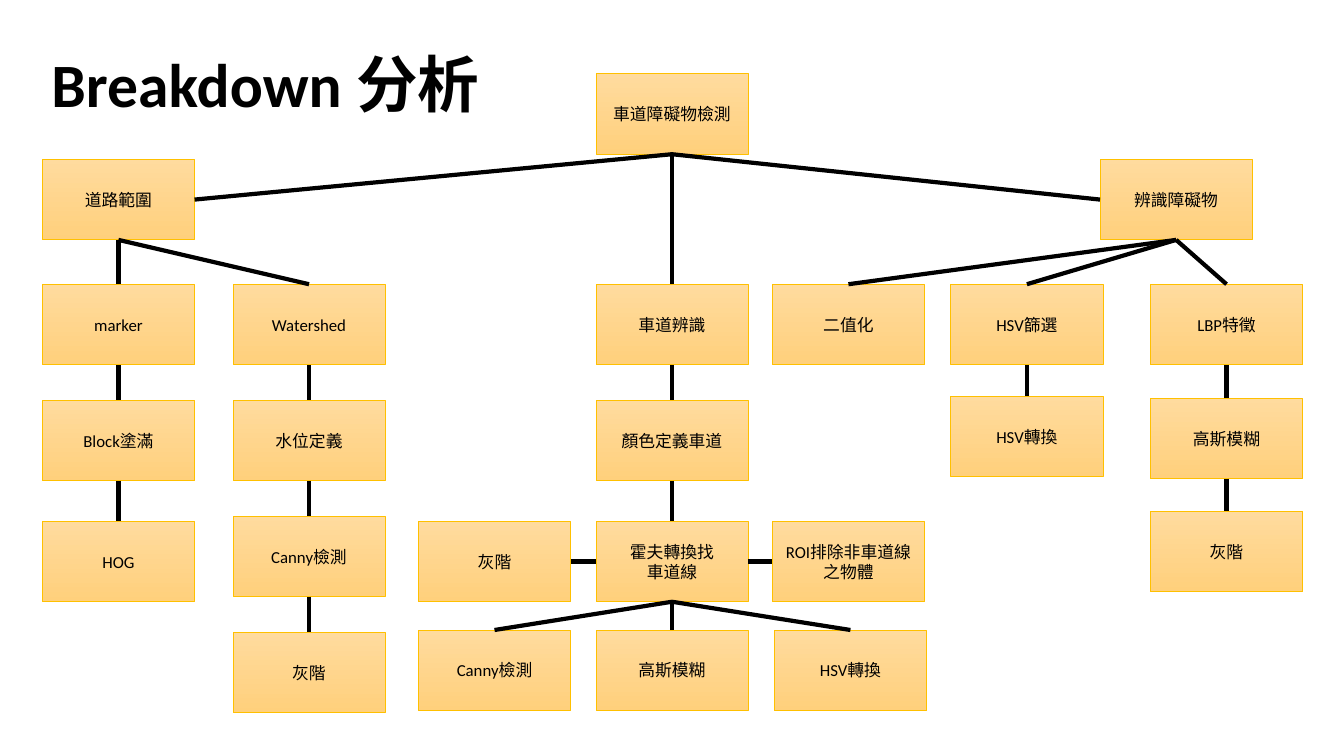
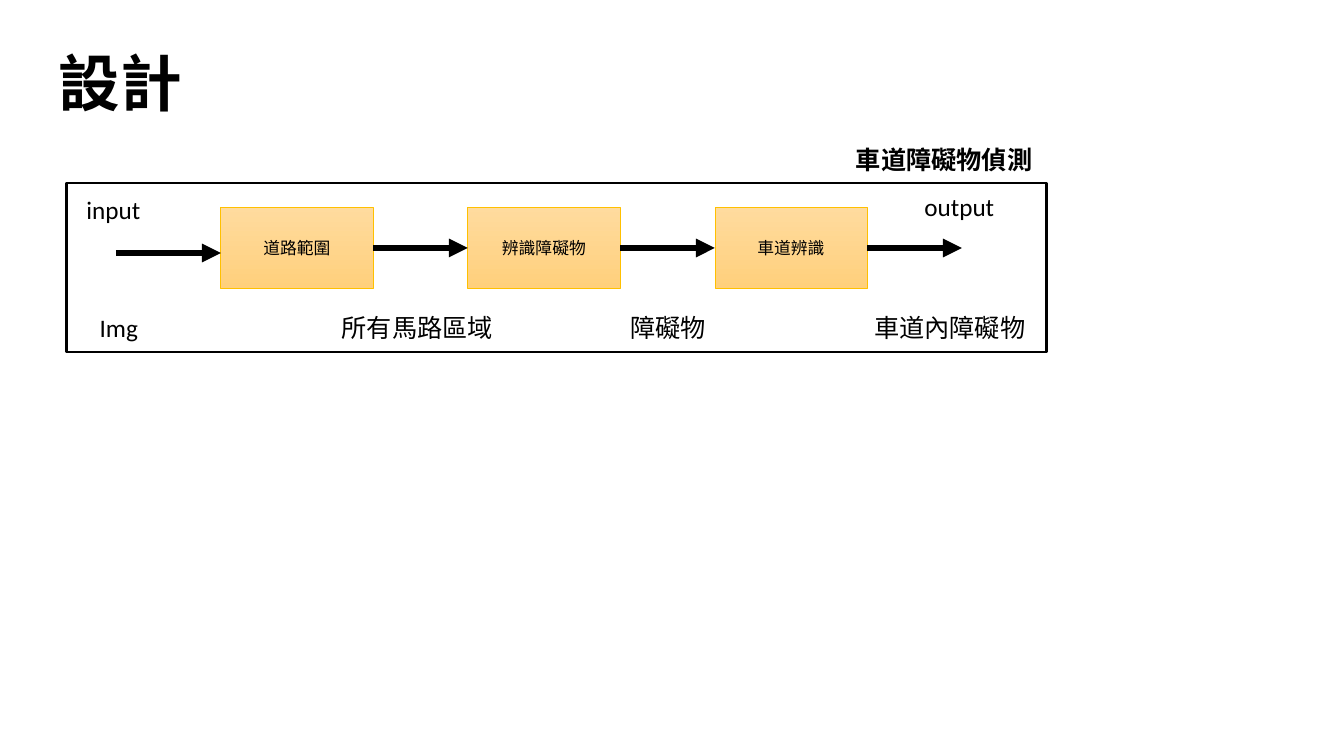
import pptx
import pptx.util
import pptx.dml.color
import pptx.enum.shapes
import pptx.enum.text
import pptx.oxml.ns
import lxml.etree

Inches = pptx.util.Inches
Pt = pptx.util.Pt
RGBColor = pptx.dml.color.RGBColor
Align = pptx.enum.text.PP_ALIGN
Anchor = pptx.enum.text.MSO_ANCHOR
RECT = pptx.enum.shapes.MSO_SHAPE.RECTANGLE
LINE = pptx.enum.shapes.MSO_CONNECTOR.STRAIGHT

BLACK = RGBColor(0x00, 0x00, 0x00)
GOLD = RGBColor(0xFF, 0xC0, 0x00)
LIGHT = RGBColor(0xFF, 0xDB, 0x9E)
DEEP = RGBColor(0xFF, 0xD0, 0x7C)
FONT = "Calibri"
BOX_W, BOX_H = 1.51, 0.8
TOP, LEFT, BOTTOM, RIGHT = range(4)

NODES = {
    "root": (5.91, 0.73, "車道障礙物檢測"),
    "road": (0.42, 1.58, "道路範圍"),
    "object": (10.91, 1.58, "辨識障礙物"),
    "marker": (0.42, 2.82, "marker"),
    "block": (0.42, 3.97, "Block塗滿"),
    "hog": (0.42, 5.17, "HOG"),
    "shed": (2.31, 2.82, "Watershed"),
    "level": (2.31, 3.97, "水位定義"),
    "shed canny": (2.31, 5.12, "Canny檢測"),
    "shed gray": (2.31, 6.27, "灰階"),
    "lane": (5.91, 2.82, "車道辨識"),
    "color": (5.91, 3.97, "顏色定義車道"),
    "hough": (5.91, 5.17, "霍夫轉換找\n車道線"),
    "gray": (4.15, 5.17, "灰階"),
    "roi": (7.66, 5.17, "ROI排除非車道線之物體"),
    "canny": (4.15, 6.25, "Canny檢測"),
    "blur": (5.91, 6.25, "高斯模糊"),
    "hsv": (7.68, 6.25, "HSV轉換"),
    "binary": (7.66, 2.82, "二值化"),
    "filter": (9.43, 2.82, "HSV篩選"),
    "filter hsv": (9.43, 3.93, "HSV轉換"),
    "lbp": (11.41, 2.82, "LBP特徵"),
    "lbp blur": (11.41, 3.95, "高斯模糊"),
    "lbp gray": (11.41, 5.07, "灰階"),
}
CHAINS = [
    ("road", "marker", "block", "hog"),
    ("road", "shed", "level", "shed canny", "shed gray"),
    ("root", "lane", "color", "hough", "blur"),
    ("hough", "canny"),
    ("hough", "hsv"),
    ("object", "binary"),
    ("object", "filter", "filter hsv"),
    ("object", "lbp", "lbp blur", "lbp gray"),
]
SIDES = [
    ("root", BOTTOM, "road", RIGHT),
    ("root", BOTTOM, "object", LEFT),
    ("hough", LEFT, "gray", RIGHT),
    ("hough", RIGHT, "roi", LEFT),
]

STEPS = ["道路範圍", "辨識障礙物", "車道辨識"]
STEP_X, STEP_Y, STEP_GAP = 2.19, 2.06, 0.94
LABELS = [
    (3.29, 3.05, 1.95, "所有馬路區域", False),
    (8.57, 3.05, 1.95, "車道內障礙物", False),
    (6.15, 3.05, 1.79, "障礙物", False),
    (0.89, 3.05, 1.95, "Img", False),
    (0.76, 1.88, 0.77, "input", False),
    (9.07, 1.85, 1.16, "output", False),
    (8.39, 1.38, 2.82, "車道障礙物偵測", True),
]


def write(frame, text, size, bold=False, align=Align.LEFT):
    for i, line in enumerate(text.split("\n")):
        para = frame.paragraphs[0] if i == 0 else frame.add_paragraph()
        para.alignment = align
        run = para.add_run()
        run.text = line
        run.font.name = FONT
        run.font.size = Pt(size)
        run.font.bold = bold
        run.font.color.rgb = BLACK


def add_page(deck, text, x, y):
    page = deck.slides.add_slide(deck.slide_layouts[5])
    title = page.shapes.title
    title.left, title.top = Inches(x), Inches(y)
    title.width, title.height = Inches(11.5), Inches(1.45)
    title.text_frame.vertical_anchor = Anchor.MIDDLE
    write(title.text_frame, text, 44, bold=True)
    title.text_frame.paragraphs[0].line_spacing = 0.9
    return page


def add_box(page, x, y, text):
    box = page.shapes.add_shape(
        RECT, Inches(x), Inches(y), Inches(BOX_W), Inches(BOX_H))
    box.shadow.inherit = False
    box.fill.gradient()
    box.fill.gradient_angle = 270
    for stop, color, place in zip(box.fill.gradient_stops, (LIGHT, DEEP), (0, 1)):
        stop.color.rgb = color
        stop.position = place
    box.line.color.rgb = GOLD
    box.line.width = Pt(0.5)
    box.text_frame.vertical_anchor = Anchor.MIDDLE
    write(box.text_frame, text, 12, align=Align.CENTER)
    return box


def add_line(page, width, start=(0, 0), end=(0, 0), head=False):
    line = page.shapes.add_connector(LINE, *map(Inches, start + end))
    line.line.color.rgb = BLACK
    line.line.width = Pt(width)
    qn = pptx.oxml.ns.qn
    if head:
        lxml.etree.SubElement(
            line.line._get_or_add_ln(), qn("a:tailEnd"), type="triangle")
    lxml.etree.SubElement(line._element.spPr, qn("a:effectLst"))
    return line


def join(line, first, exit_side, last, entry_side):
    line.begin_connect(first, exit_side)
    line.end_connect(last, entry_side)


def draw_tree(deck):
    page = add_page(deck, "Breakdown 分析", 0.41, 0.14)
    boxes = {key: add_box(page, *node) for key, node in NODES.items()}
    links = [(a, BOTTOM, b, TOP)
             for chain in CHAINS for a, b in zip(chain, chain[1:])]
    for a, out, b, into in links + SIDES:
        join(add_line(page, 3), boxes[a], out, boxes[b], into)


def draw_flow(deck):
    page = add_page(deck, "設計", 0.48, 0.13)
    pitch = BOX_W + STEP_GAP
    boxes = [add_box(page, STEP_X + i * pitch, STEP_Y, text)
             for i, text in enumerate(STEPS)]
    add_line(page, 4.5, (1.15, 2.51), (STEP_X, 2.51), head=True)
    for a, b in zip(boxes, boxes[1:]):
        join(add_line(page, 4.5, head=True), a, RIGHT, b, LEFT)
    mid = STEP_Y + BOX_H / 2
    last = STEP_X + len(STEPS) * pitch
    out = add_line(page, 4.5, (last - STEP_GAP, mid), (last, mid), head=True)
    out.begin_connect(boxes[-1], RIGHT)

    for x, y, width, text, bold in LABELS:
        label = page.shapes.add_textbox(
            Inches(x), Inches(y), Inches(width), Inches(0.4))
        label.text_frame.word_wrap = True
        write(label.text_frame, text, 18, bold)

    border = page.shapes.add_shape(
        RECT, Inches(0.66), Inches(1.82), Inches(9.72), Inches(1.67))
    border.shadow.inherit = False
    border.fill.background()
    border.line.color.rgb = BLACK
    border.line.width = Pt(1.5)


def main():
    deck = pptx.Presentation()
    deck.slide_width, deck.slide_height = Inches(13.33), Inches(7.5)
    draw_tree(deck)
    draw_flow(deck)
    deck.save("out.pptx")


if __name__ == "__main__":
    main()
